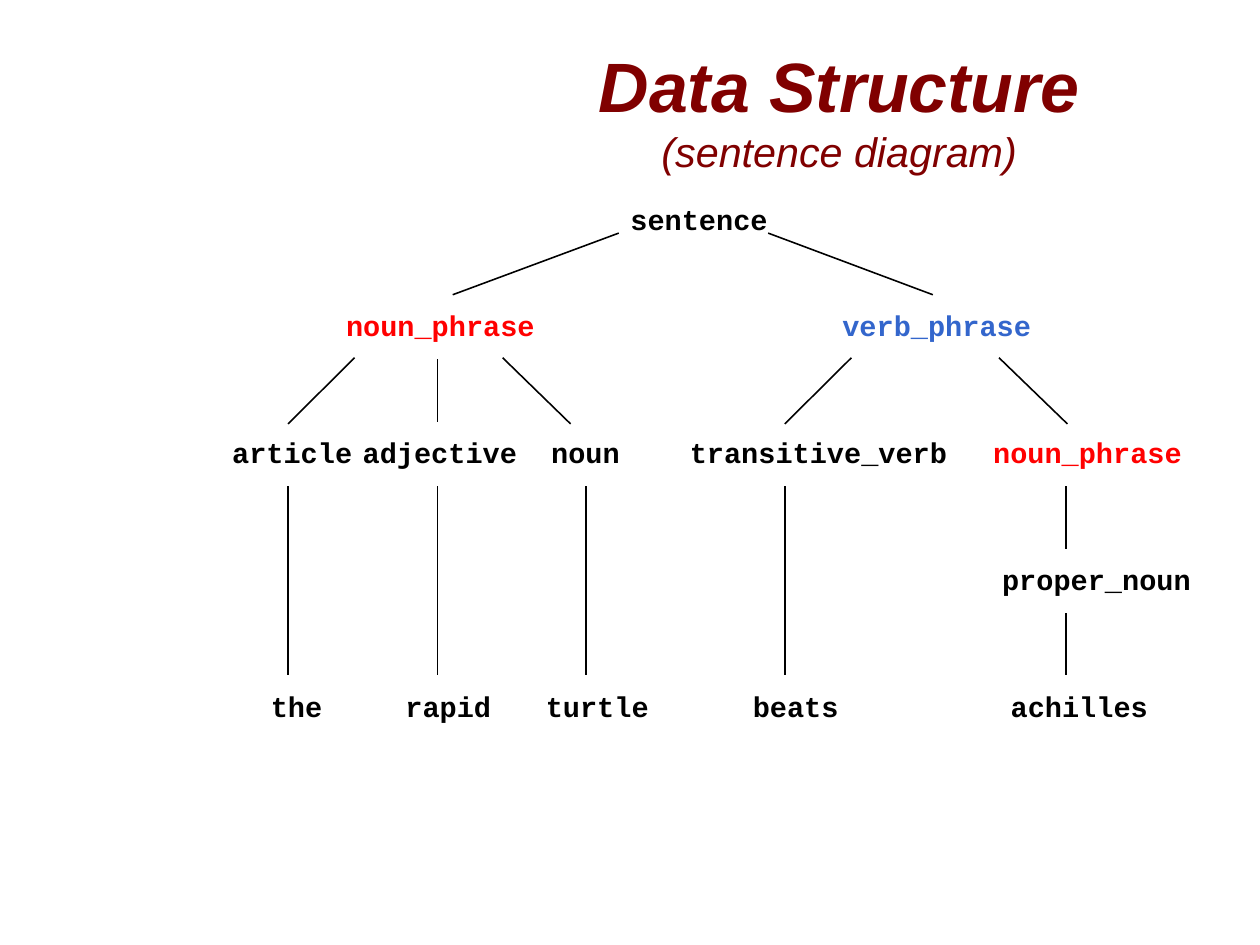
from typing import NamedTuple

from lxml import etree
from pptx import Presentation
from pptx.dml.color import RGBColor
from pptx.enum.shapes import MSO_CONNECTOR
from pptx.enum.text import MSO_ANCHOR, MSO_AUTO_SIZE, PP_ALIGN
from pptx.oxml.ns import qn
from pptx.slide import Slide
from pptx.text.text import _Paragraph
from pptx.util import Cm, Pt

STRAIGHT = MSO_CONNECTOR.STRAIGHT
MIDDLE = MSO_ANCHOR.MIDDLE
FIT_SHAPE = MSO_AUTO_SIZE.SHAPE_TO_FIT_TEXT
NO_FIT = MSO_AUTO_SIZE.NONE
LEFT, CENTER = PP_ALIGN.LEFT, PP_ALIGN.CENTER

BLACK = RGBColor(0x00, 0x00, 0x00)
RED = RGBColor(0xFF, 0x00, 0x00)
BLUE = RGBColor(0x33, 0x66, 0xCC)
MAROON = RGBColor(0x80, 0x00, 0x00)

TITLE_ONLY_LAYOUT = 5
CHARACTER_WIDTH = 0.38
LABEL_PADDING = 0.56
LABEL_HEIGHT = 0.94

SENTENCE_ROW = 4.45
PHRASE_ROW = 6.81
CATEGORY_ROW, PROPER_NOUN_ROW, WORD_ROW = (9.63 + 2.82 * step for step in range(3))
CATEGORY_BOTTOM, PROPER_NOUN_TOP = 10.81, 12.19
PROPER_NOUN_BOTTOM, WORD_TOP = 13.63, 15.01
SENTENCE_BOTTOM, PHRASE_TOP = 5.18, 6.55
PHRASE_BOTTOM, CATEGORY_TOP = 7.95, 9.42
ARTICLE, ADJECTIVE, NOUN, VERB, NOUN_PHRASE = 6.4, 9.72, 13.02, 17.44, 23.69


class Label(NamedTuple):
    text: str
    left: float
    top: float
    color: RGBColor = BLACK


class Branch(NamedTuple):
    start_x: float
    start_y: float
    end_x: float
    end_y: float


LABELS = [
    Label("sentence", 13.76, SENTENCE_ROW),
    Label("noun_phrase", 7.44, PHRASE_ROW, RED),
    Label("verb_phrase", 18.47, PHRASE_ROW, BLUE),
    Label("article", 4.91, CATEGORY_ROW),
    Label("adjective", 7.81, CATEGORY_ROW),
    Label("noun", 12.0, CATEGORY_ROW),
    Label("transitive_verb", 15.08, CATEGORY_ROW),
    Label("noun_phrase", 21.82, CATEGORY_ROW, RED),
    Label("proper_noun", 22.02, PROPER_NOUN_ROW),
    Label("the", 5.77, WORD_ROW),
    Label("rapid", 8.76, WORD_ROW),
    Label("turtle", 11.88, WORD_ROW),
    Label("beats", 16.48, WORD_ROW),
    Label("achilles", 22.21, WORD_ROW),
]

BRANCHES = [
    Branch(13.75, SENTENCE_BOTTOM, 10.06, PHRASE_TOP),
    Branch(17.07, SENTENCE_BOTTOM, 20.73, PHRASE_TOP),
    Branch(7.88, PHRASE_BOTTOM, ARTICLE, CATEGORY_TOP),
    Branch(ADJECTIVE, 7.98, ADJECTIVE, 9.37),
    Branch(11.17, PHRASE_BOTTOM, 12.68, CATEGORY_TOP),
    Branch(18.92, PHRASE_BOTTOM, VERB, CATEGORY_TOP),
    Branch(22.2, PHRASE_BOTTOM, 23.72, CATEGORY_TOP),
    *(Branch(x, CATEGORY_BOTTOM, x, WORD_TOP) for x in (ARTICLE, ADJECTIVE, NOUN, VERB)),
    Branch(NOUN_PHRASE, CATEGORY_BOTTOM, NOUN_PHRASE, PROPER_NOUN_TOP),
    Branch(NOUN_PHRASE, PROPER_NOUN_BOTTOM, NOUN_PHRASE, WORD_TOP),
]


def add_run(paragraph: _Paragraph, text: str, font_name: str, size: int,
            color: RGBColor, bold: bool = True, italic: bool = False) -> None:
    run = paragraph.add_run()
    run.text = text
    run.font.name = font_name
    run.font.size = Pt(size)
    run.font.color.rgb = color
    run.font.bold = bold
    run.font.italic = italic


def format_title(slide: Slide) -> None:
    title = slide.shapes.title
    title.left, title.top = Cm(10.11), Cm(0.64)
    title.width, title.height = Cm(17.09), Cm(3.58)
    frame = title.text_frame
    frame.margin_left = frame.margin_right = frame.margin_top = frame.margin_bottom = 0
    frame.vertical_anchor = MIDDLE
    frame.auto_size = NO_FIT
    paragraph = frame.paragraphs[0]
    paragraph.alignment = CENTER
    add_run(paragraph, "Data Structure", "Arial", 44, MAROON, italic=True)
    paragraph.add_line_break()
    add_run(paragraph, "(sentence diagram)", "Arial", 26, MAROON, bold=False, italic=True)


def add_label(slide: Slide, label: Label) -> None:
    width = CHARACTER_WIDTH * len(label.text) + LABEL_PADDING
    box = slide.shapes.add_textbox(Cm(label.left), Cm(label.top), Cm(width), Cm(LABEL_HEIGHT))
    frame = box.text_frame
    frame.word_wrap = False
    frame.auto_size = FIT_SHAPE
    paragraph = frame.paragraphs[0]
    paragraph.alignment = LEFT
    paragraph.line_spacing = 0.9
    add_run(paragraph, label.text, "Courier New", 18, label.color)


def add_branch(slide: Slide, branch: Branch) -> None:
    connector = slide.shapes.add_connector(STRAIGHT, *(Cm(value) for value in branch))
    connector.line.color.rgb = BLACK
    connector.line.width = Pt(1)
    properties = connector.element.find(qn("p:spPr"))
    etree.SubElement(properties, qn("a:effectLst"))


def main() -> None:
    presentation = Presentation()
    presentation.slide_width, presentation.slide_height = Cm(28), Cm(21)
    slide = presentation.slides.add_slide(presentation.slide_layouts[TITLE_ONLY_LAYOUT])
    format_title(slide)
    for label in LABELS:
        add_label(slide, label)
    for branch in BRANCHES:
        add_branch(slide, branch)
    presentation.save("out.pptx")


if __name__ == "__main__":
    main()
